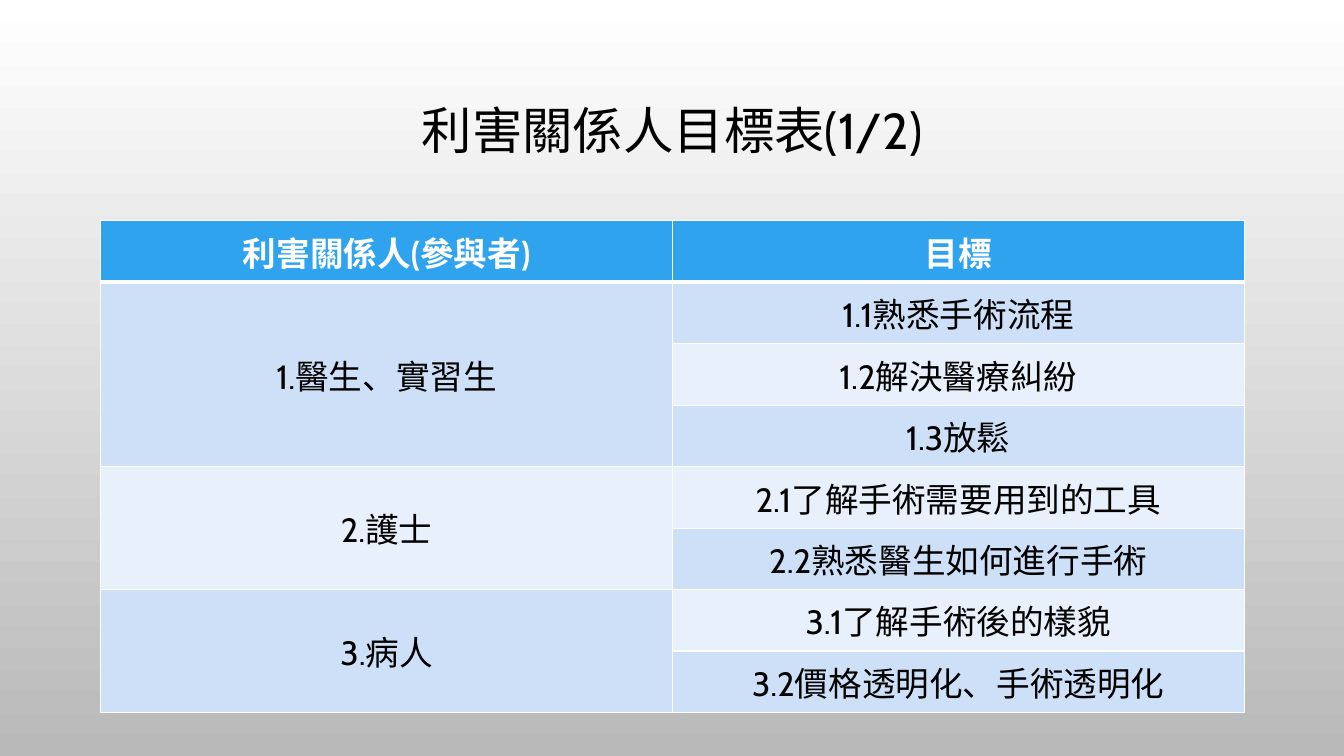
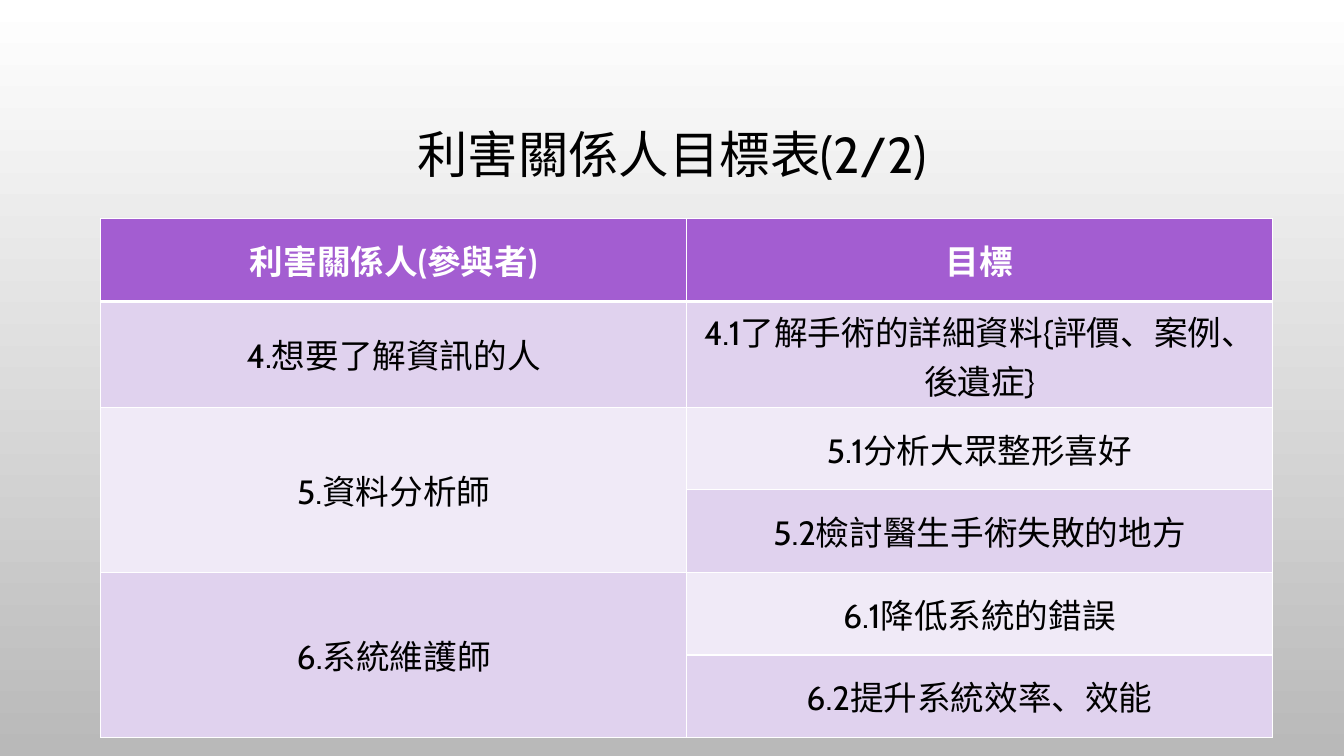
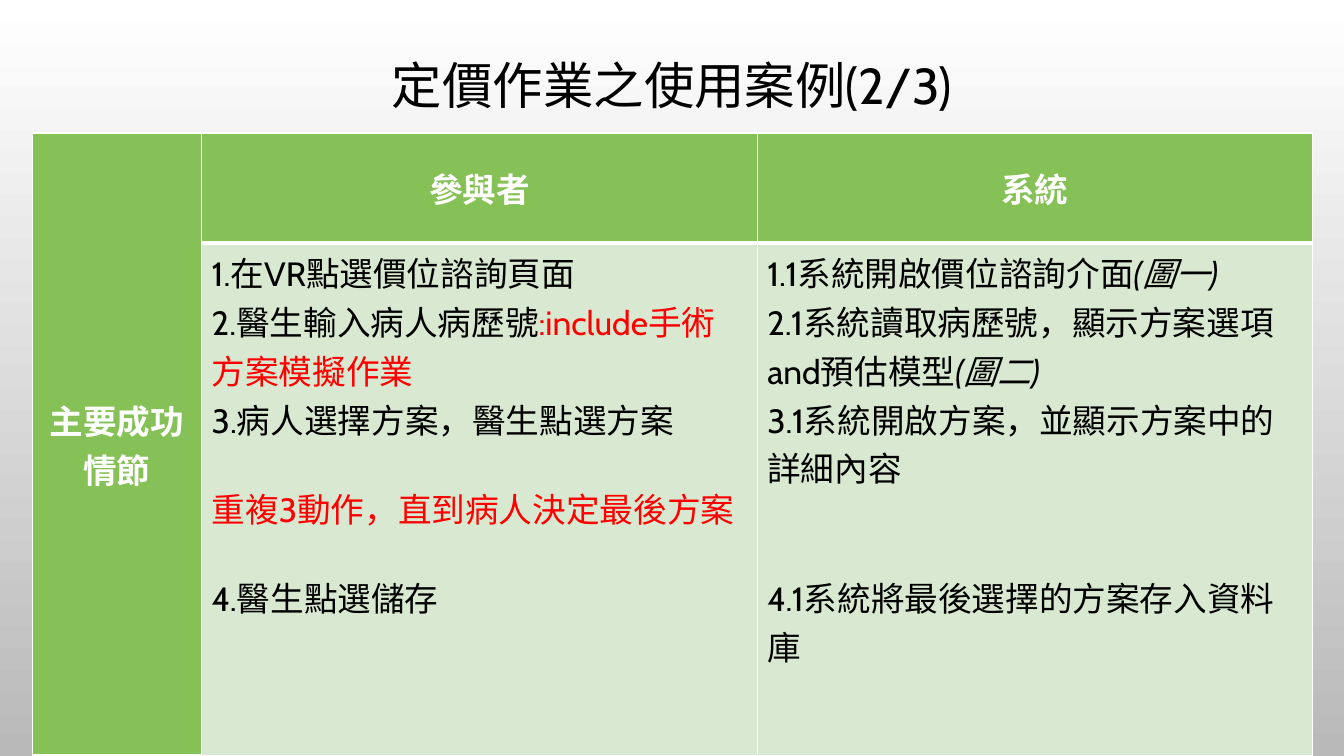
from dataclasses import dataclass

from lxml import etree
from pptx import Presentation
from pptx.dml.color import RGBColor
from pptx.enum import text
from pptx.oxml import ns
from pptx.util import Inches, Pt


@dataclass(frozen=True)
class Theme:
    font: str = "Cabin"
    title_size: int = 36
    body_size: int = 24
    blank_line: int = 29
    ink: str = "000000"
    accent: str = "FF0000"
    white: str = "FFFFFF"
    shade: str = "B9B9B9"
    # header, odd band, even band
    blue: tuple = ("2FA3EE", "CDE0F8", "E8F0FC")
    purple: tuple = ("A35DD1", "E0D2EE", "F0EAF7")
    green: tuple = ("86C157", "D9E9D1")


THEME = Theme()
CENTER = text.PP_ALIGN.CENTER
LEFT = text.PP_ALIGN.LEFT

# Content: stakeholders with their goals
GOAL_HEADER = ("利害關係人(參與者)", "目標")
GOAL_PAGES = [
    dict(title="利害關係人目標表(1/2)", title_top=0.45, colors=THEME.blue,
         at=(1, 2.19), column=5.67, rows=[0.61] * 8,
         groups=[
             ("1.醫生、實習生", ["1.1熟悉手術流程", "1.2解決醫療糾紛", "1.3放鬆"]),
             ("2.護士", ["2.1了解手術需要用到的工具", "2.2熟悉醫生如何進行手術"]),
             ("3.病人", ["3.1了解手術後的樣貌", "3.2價格透明化、手術透明化"]),
         ]),
    dict(title="利害關係人目標表(2/2)", title_top=0.68, colors=THEME.purple,
         at=(1, 2.17), column=5.81, rows=[0.82, 1.05] + [0.82] * 4,
         groups=[
             ("4.想要了解資訊的人", ["4.1了解手術的詳細資料{評價、案例、後遺症}"]),
             ("5.資料分析師", ["5.1分析大眾整形喜好", "5.2檢討醫生手術失敗的地方"]),
             ("6.系統維護師", ["6.1降低系統的錯誤", "6.2提升系統效率、效能"]),
         ]),
]

# Content: use case steps as (lines of space before, [(words, style)])
CASE_TITLE = "定價作業之使用案例(2/3)"
CASE_LABEL = "主要成功情節"
CASE_COLUMNS = [
    ("參與者", [
        (0, [("1.在VR點選價位諮詢頁面", "")]),
        (0, [("2.醫生輸入病人病歷號", ""), (":include手術方案模擬作業", "red")]),
        (0, [("3.病人選擇方案，醫生點選方案", "")]),
        (1, [("重複3動作，直到病人決定最後方案", "red")]),
        (1, [("4.醫生點選儲存", "")]),
    ]),
    ("系統", [
        (0, [("1.1系統開啟價位諮詢介面", ""), ("(圖一)", "italic")]),
        (0, [("2.1系統讀取病歷號，顯示方案選項and預估模型", ""), ("(圖二)", "italic")]),
        (0, [("3.1系統開啟方案，並顯示方案中的詳細內容", "")]),
        (2, [("4.1系統將最後選擇的方案存入資料庫", "")]),
    ]),
]


def rgb(value):
    return RGBColor.from_string(value)


def set_font(font, size, color, bold=False):
    font.name, font.size, font.bold = THEME.font, Pt(size), bold
    font.color.rgb = rgb(color)


def add_page(deck, title, title_top):
    page = deck.slides.add_slide(deck.slide_layouts[6])
    fill = page.background.fill
    fill.gradient()
    fill.gradient_angle = 270
    for stop, color in zip(fill.gradient_stops, (THEME.white, THEME.shade)):
        stop.color.rgb = rgb(color)
    box = page.shapes.add_textbox(Inches(1), Inches(title_top), Inches(11.33), Inches(1.75))
    frame = box.text_frame
    frame.word_wrap = True
    frame.vertical_anchor = text.MSO_ANCHOR.MIDDLE
    para = frame.paragraphs[0]
    para.text, para.alignment, para.line_spacing = title, CENTER, 0.9
    set_font(para.font, THEME.title_size, THEME.ink)
    return page


def add_grid(page, at, columns, rows):
    frame = page.shapes.add_table(len(rows), len(columns), Inches(at[0]), Inches(at[1]),
                                  Inches(sum(columns)), Inches(sum(rows)))
    table = frame.table
    table.first_row = table.horz_banding = False
    for column, width in zip(table.columns, columns):
        column.width = Inches(width)
    for row, height in zip(table.rows, rows):
        row.height = Inches(height)
    return table


def paint(cell, color, bottom=1):
    """White borders first, then the fill, as the schema orders them."""
    properties = cell._tc.get_or_add_tcPr()
    for side, width in (("L", 1), ("R", 1), ("T", 1), ("B", bottom)):
        line = etree.SubElement(properties, ns.qn(f"a:ln{side}"), w=str(Pt(width)))
        solid = etree.SubElement(line, ns.qn("a:solidFill"))
        etree.SubElement(solid, ns.qn("a:srgbClr"), val=THEME.white)
    cell.fill.solid()
    cell.fill.fore_color.rgb = rgb(color)


def write(cell, words, header=False):
    cell.vertical_anchor = text.MSO_ANCHOR.MIDDLE
    para = cell.text_frame.paragraphs[0]
    para.text, para.alignment = words, CENTER
    set_font(para.font, THEME.body_size, THEME.white if header else THEME.ink, header)


def write_steps(cell, steps):
    frame = cell.text_frame
    for index, (space, spans) in enumerate(steps):
        para = frame.add_paragraph() if index else frame.paragraphs[0]
        para.alignment = LEFT
        para.space_before = Pt(space * THEME.blank_line)
        set_font(para.font, THEME.body_size, THEME.ink)
        for words, style in spans:
            span = para.add_run()
            span.text = words
            if style == "red":
                span.font.color.rgb = rgb(THEME.accent)
            elif style == "italic":
                span.font.italic = True


def add_goal_page(deck, title, title_top, colors, at, column, rows, groups):
    page = add_page(deck, title, title_top)
    table = add_grid(page, at, [column] * 2, rows)
    header, *bands = colors
    for index, words in enumerate(GOAL_HEADER):
        paint(table.cell(0, index), header, bottom=3)
        write(table.cell(0, index), words, header=True)
    row = 1
    for number, (stakeholder, goals) in enumerate(groups):
        first = row
        for goal in goals:
            paint(table.cell(row, 0), bands[number % 2])
            paint(table.cell(row, 1), bands[(row - 1) % 2])
            write(table.cell(row, 1), goal)
            row += 1
        if len(goals) > 1:
            table.cell(first, 0).merge(table.cell(row - 1, 0))
        write(table.cell(first, 0), stakeholder)


def add_case_page(deck):
    page = add_page(deck, CASE_TITLE, 0)
    table = add_grid(page, (0.32, 1.32), [1.68, 5.51, 5.51], [1.09, 5.09])
    header, band = THEME.green
    for row in range(2):
        paint(table.cell(row, 0), header, bottom=3)
    table.cell(0, 0).merge(table.cell(1, 0))
    write(table.cell(0, 0), CASE_LABEL, header=True)
    for index, (heading, steps) in enumerate(CASE_COLUMNS, start=1):
        paint(table.cell(0, index), header, bottom=3)
        write(table.cell(0, index), heading, header=True)
        paint(table.cell(1, index), band)
        write_steps(table.cell(1, index), steps)


def main():
    deck = Presentation()
    deck.slide_width, deck.slide_height = Inches(13.33), Inches(7.5)
    for content in GOAL_PAGES:
        add_goal_page(deck, **content)
    add_case_page(deck)
    deck.save("out.pptx")


if __name__ == "__main__":
    main()
